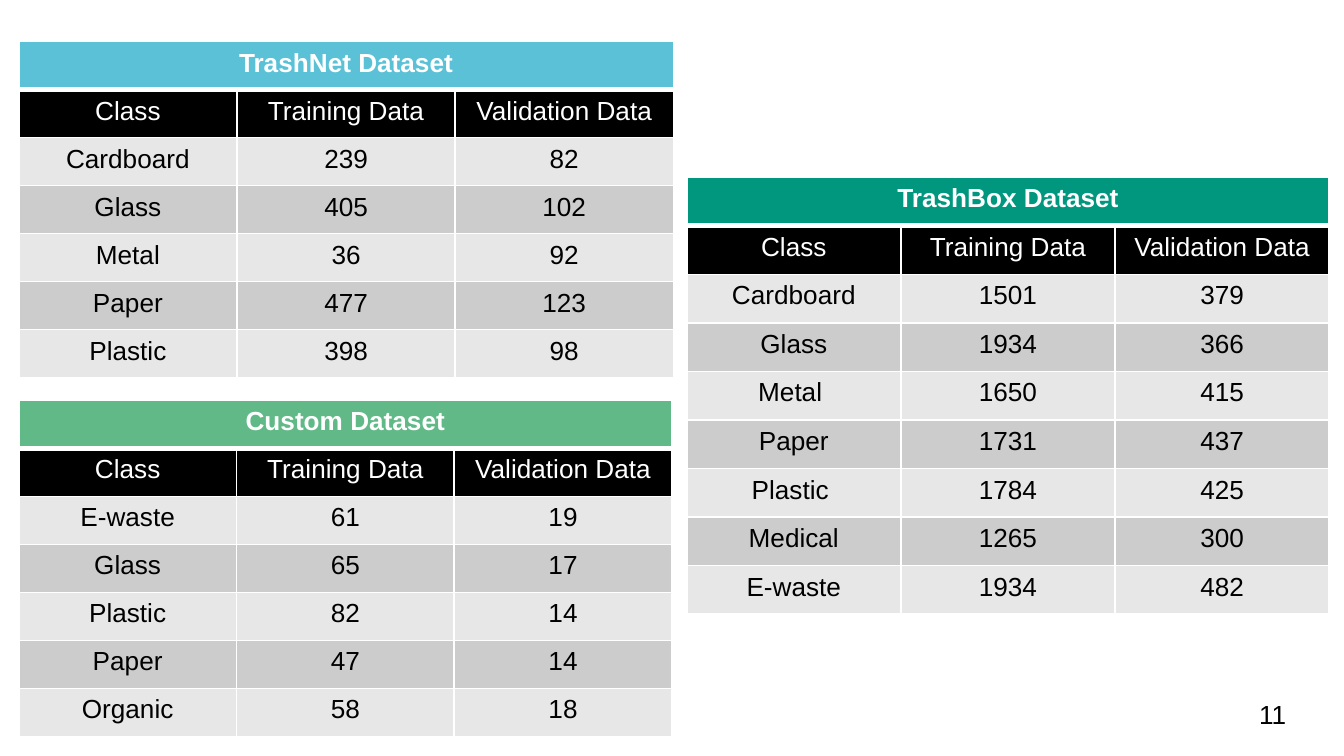
import dataclasses

import lxml.etree
import pptx
import pptx.dml.color
import pptx.enum.text
import pptx.oxml.ns
import pptx.table
import pptx.util
from pptx.util import Inches


@dataclasses.dataclass(frozen=True)
class Theme:
    font: str = "Arial"
    text_size: int = 14
    light: str = "FFFFFF"
    dark: str = "000000"
    bands: tuple[str, str] = ("E7E7E7", "CCCCCC")
    thin_border: float = 1
    thick_border: float = 3


@dataclasses.dataclass(frozen=True)
class Dataset:
    title: str
    color: str
    left: float
    top: float
    width: float
    height: float
    counts: list[tuple[str, int, int]]


THEME = Theme()
HEADINGS = ("Class", "Training Data", "Validation Data")

DATASETS = [
    Dataset("TrashNet Dataset", "5AC1D7", 0.14, 0.31, 4.87, 2.5, [
        ("Cardboard", 239, 82),
        ("Glass", 405, 102),
        ("Metal", 36, 92),
        ("Paper", 477, 123),
        ("Plastic", 398, 98),
    ]),
    Dataset("TrashBox Dataset", "01977F", 5.11, 1.32, 4.78, 3.25, [
        ("Cardboard", 1501, 379),
        ("Glass", 1934, 366),
        ("Metal ", 1650, 415),
        ("Paper", 1731, 437),
        ("Plastic ", 1784, 425),
        ("Medical", 1265, 300),
        ("E-waste", 1934, 482),
    ]),
    Dataset("Custom Dataset", "61B988", 0.14, 2.98, 4.86, 2.5, [
        ("E-waste", 61, 19),
        ("Glass", 65, 17),
        ("Plastic", 82, 14),
        ("Paper", 47, 14),
        ("Organic", 58, 18),
    ]),
]


def format_font(font, color: str, bold: bool = False) -> None:
    font.name = THEME.font
    font.size = pptx.util.Pt(THEME.text_size)
    font.bold = bold
    font.color.rgb = pptx.dml.color.RGBColor.from_string(color)


def set_borders(cell: pptx.table._Cell, top: float, bottom: float) -> None:
    qualify = pptx.oxml.ns.qn
    properties = cell._tc.get_or_add_tcPr()
    widths = {"L": THEME.thin_border, "R": THEME.thin_border, "T": top, "B": bottom}
    for side, width in widths.items():
        line = lxml.etree.SubElement(
            properties, qualify(f"a:ln{side}"), w=str(pptx.util.Pt(width)))
        fill = lxml.etree.SubElement(line, qualify("a:solidFill"))
        lxml.etree.SubElement(fill, qualify("a:srgbClr"), val=THEME.light)


def draw_dataset(slide, dataset: Dataset) -> None:
    rows = [(dataset.title, "", ""), HEADINGS, *dataset.counts]
    table = slide.shapes.add_table(
        len(rows), len(HEADINGS), Inches(dataset.left), Inches(dataset.top),
        Inches(dataset.width), Inches(dataset.height)).table
    table.cell(0, 0).merge(table.cell(0, len(HEADINGS) - 1))

    for row_index, values in enumerate(rows):
        # Title row, heading row, then alternating bands
        if row_index == 0:
            fill_color = dataset.color
        elif row_index == 1:
            fill_color = THEME.dark
        else:
            fill_color = THEME.bands[row_index % 2]
        text_color = THEME.light if row_index < 2 else THEME.dark
        top = THEME.thick_border if row_index == 1 else THEME.thin_border
        bottom = THEME.thick_border if row_index == 0 else THEME.thin_border

        for column_index, value in enumerate(values):
            cell = table.cell(row_index, column_index)
            set_borders(cell, top, bottom)
            cell.fill.solid()
            cell.fill.fore_color.rgb = pptx.dml.color.RGBColor.from_string(fill_color)
            if cell.is_spanned:
                continue
            cell.text_frame.text = str(value)
            paragraph = cell.text_frame.paragraphs[0]
            paragraph.alignment = pptx.enum.text.PP_ALIGN.CENTER
            format_font(paragraph.runs[0].font, text_color, bold=row_index == 0)


def draw_page_number(slide, number: int) -> None:
    shape = slide.shapes.add_textbox(
        Inches(9.27), Inches(5.1), Inches(0.6), Inches(0.43))
    text_frame = shape.text_frame
    text_frame.word_wrap = True
    text_frame.vertical_anchor = pptx.enum.text.MSO_ANCHOR.MIDDLE
    text_frame.margin_top = text_frame.margin_bottom = Inches(0.1)
    text_frame.text = str(number)
    format_font(text_frame.paragraphs[0].runs[0].font, THEME.dark)


def main() -> None:
    presentation = pptx.Presentation()
    # Widescreen, 16 to 9
    presentation.slide_width = Inches(10)
    presentation.slide_height = Inches(10 * 9 / 16)
    # The slide has no title, so it uses the blank layout
    slide = presentation.slides.add_slide(presentation.slide_layouts[6])
    for dataset in DATASETS:
        draw_dataset(slide, dataset)
    draw_page_number(slide, 11)
    presentation.save("out.pptx")


if __name__ == "__main__":
    main()
